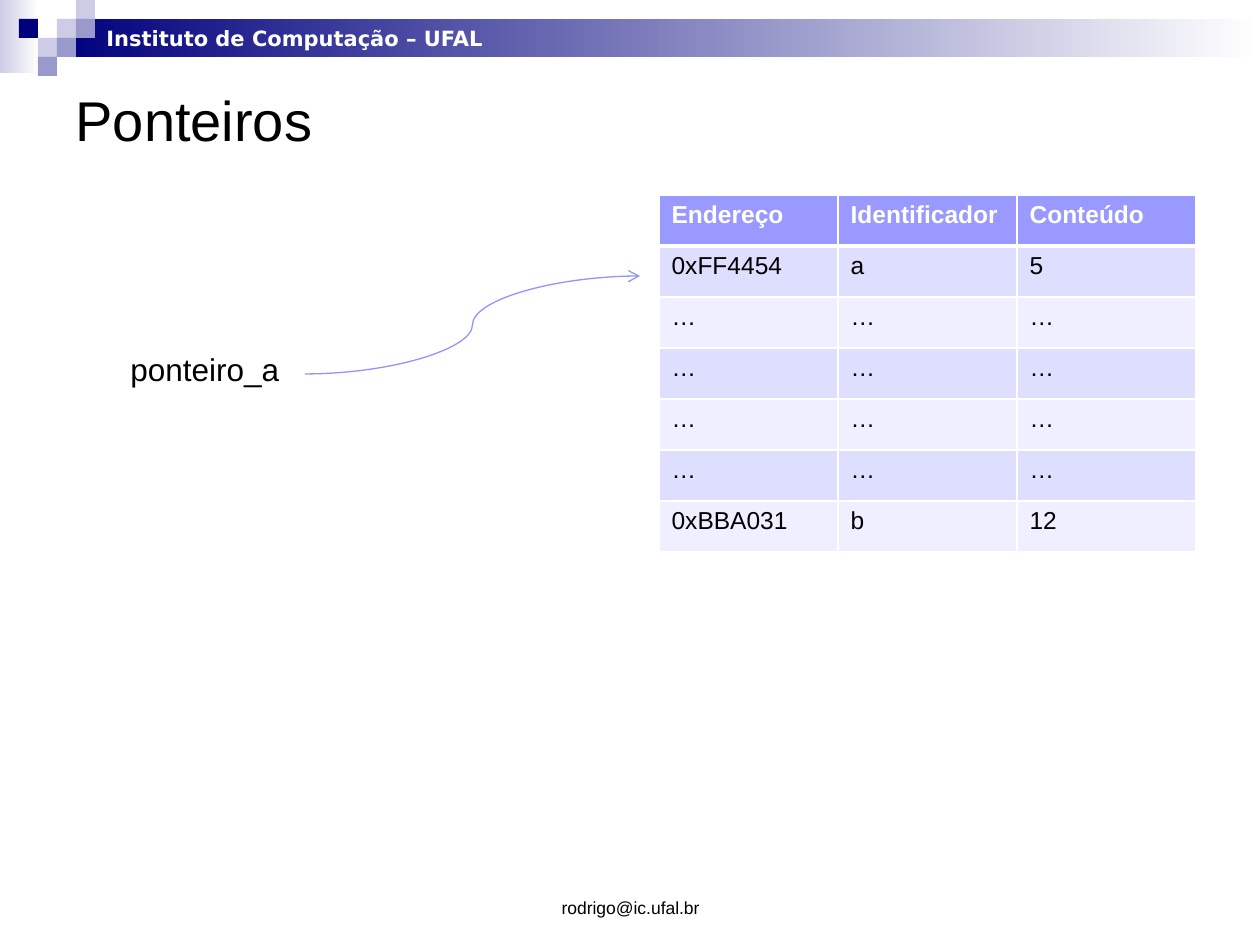
"""Build the slide on pointers: a variable name pointing into a memory table."""
from dataclasses import dataclass

from lxml.etree import SubElement
from pptx import Presentation
from pptx.dml.color import RGBColor
from pptx.enum.shapes import MSO_CONNECTOR as Connector, MSO_SHAPE as Shape
from pptx.enum.text import MSO_ANCHOR as Anchor, MSO_AUTO_SIZE as AutoSize, PP_ALIGN as Align
from pptx.oxml import parse_xml
from pptx.oxml.ns import nsdecls, qn
from pptx.util import Pt


@dataclass(frozen=True)
class Theme:
    font: str = "Arial"
    banner_font: str = "DejaVu Sans"
    black: str = "000000"
    white: str = "FFFFFF"
    navy: str = "00007D"
    lavender: str = "CCCCE6"
    violet: str = "9999CC"
    header: str = "9999FF"
    bands: tuple = ("DEDEFF", "EFEFFF")
    arrow: str = "9393FC"
    title_size: int = 32
    label_size: int = 18
    table_size: int = 14
    banner_size: int = 12
    footer_size: int = 10


THEME = Theme()
PX = 914400 / 126
TITLE = "Ponteiros"
BANNER = "Instituto de Computação – UFAL"
FOOTER = "rodrigo@ic.ufal.br"
POINTER = "ponteiro_a"
MEMORY = [
    ("Endereço", "Identificador", "Conteúdo"),
    ("0xFF4454", "a", "5"),
    *[("…", "…", "…")] * 4,
    ("0xBBA031", "b", "12"),
]
GRADIENTS = [((0, 0, 39, 73), THEME.lavender), ((57, 19, 1203, 38), THEME.navy)]
SQUARE = 19
MOSAIC = [
    (3, 1, THEME.lavender), (4, 0, THEME.lavender), (4, 1, THEME.violet),
    (2, 2, THEME.lavender), (1, 1, THEME.navy), (3, 2, THEME.violet),
    (2, 3, THEME.violet),
]
TABLE_LEFT, TABLE_TOP, COLUMN_WIDTH, ROW_HEIGHT = 659, 195, 179, 51


def emu(*lengths):
    return [round(length * PX) for length in lengths]


def color(value):
    return RGBColor.from_string(value)


def format_text(text_frame, size, value=THEME.black, bold=False, font=THEME.font, align=Align.LEFT):
    for paragraph in text_frame.paragraphs:
        paragraph.alignment = align
        for run in paragraph.runs:
            run.font.name = font
            run.font.size = Pt(size)
            run.font.bold = bold
            run.font.color.rgb = color(value)


def add_rectangle(slide, box):
    shape = slide.shapes.add_shape(Shape.RECTANGLE, *emu(*box))
    shape.shadow.inherit = False
    shape.line.fill.background()
    return shape


def add_decoration(slide):
    for box, start in GRADIENTS:
        fill = add_rectangle(slide, box).fill
        fill.gradient()
        fill.gradient_angle = 0
        for stop, value, position in zip(fill.gradient_stops, (start, THEME.white), (0, 1)):
            stop.color.rgb = color(value)
            stop.position = position
    for column, row, value in MOSAIC:
        fill = add_rectangle(slide, (column * SQUARE, row * SQUARE, SQUARE, SQUARE)).fill
        fill.solid()
        fill.fore_color.rgb = color(value)


def add_label(slide, text, box, size, wrap=False, anchor=Anchor.TOP, **style):
    text_frame = slide.shapes.add_textbox(*emu(*box)).text_frame
    text_frame.text = text
    text_frame.word_wrap = wrap
    text_frame.auto_size = AutoSize.NONE if wrap else AutoSize.SHAPE_TO_FIT_TEXT
    text_frame.vertical_anchor = anchor
    format_text(text_frame, size, **style)


def set_borders(cell, is_header):
    properties = cell._tc.get_or_add_tcPr()
    for index, side in enumerate("LRTB"):
        width = Pt(3 if is_header and side == "B" else 1)
        properties.insert(index, parse_xml(
            f'<a:ln{side} {nsdecls("a")} w="{width}"><a:solidFill>'
            f'<a:srgbClr val="{THEME.white}"/></a:solidFill></a:ln{side}>'))


def add_memory_table(slide):
    rows, columns = len(MEMORY), len(MEMORY[0])
    table = slide.shapes.add_table(rows, columns, *emu(
        TABLE_LEFT, TABLE_TOP, columns * COLUMN_WIDTH, rows * ROW_HEIGHT)).table
    for row, texts in enumerate(MEMORY):
        is_header = row == 0
        for column, text in enumerate(texts):
            cell = table.cell(row, column)
            cell.text = text
            cell.fill.solid()
            cell.fill.fore_color.rgb = color(THEME.header if is_header else THEME.bands[(row - 1) % 2])
            set_borders(cell, is_header)
            format_text(cell.text_frame, THEME.table_size,
                        THEME.white if is_header else THEME.black, is_header)


def add_arrow(slide, start, end):
    connector = slide.shapes.add_connector(Connector.CURVE, *emu(*start, *end))
    connector.line.color.rgb = color(THEME.arrow)
    connector.line.width = Pt(0.75)
    SubElement(connector.line._get_or_add_ln(), qn("a:tailEnd"), type="arrow")
    SubElement(connector._element.spPr, qn("a:effectLst"))


def main():
    presentation = Presentation()
    presentation.slide_width, presentation.slide_height = emu(1260, 945)
    slide = presentation.slides.add_slide(presentation.slide_layouts[5])
    add_decoration(slide)
    add_label(slide, BANNER, (94, 19, 408, 38), THEME.banner_size,
              value=THEME.white, bold=True, font=THEME.banner_font)
    title = slide.shapes.title
    title.left, title.top, title.width, title.height = emu(63, 63, 1134, 112)
    title.text_frame.text = TITLE
    title.text_frame.vertical_anchor = Anchor.MIDDLE
    format_text(title.text_frame, THEME.title_size)
    add_memory_table(slide)
    add_label(slide, FOOTER, (431, 861, 399, 63), THEME.footer_size,
              wrap=True, anchor=Anchor.BOTTOM, align=Align.CENTER)
    add_label(slide, POINTER, (118, 344, 175, 50), THEME.label_size)
    add_arrow(slide, (305, 374), (640, 276))
    presentation.save("out.pptx")


if __name__ == "__main__":
    main()
